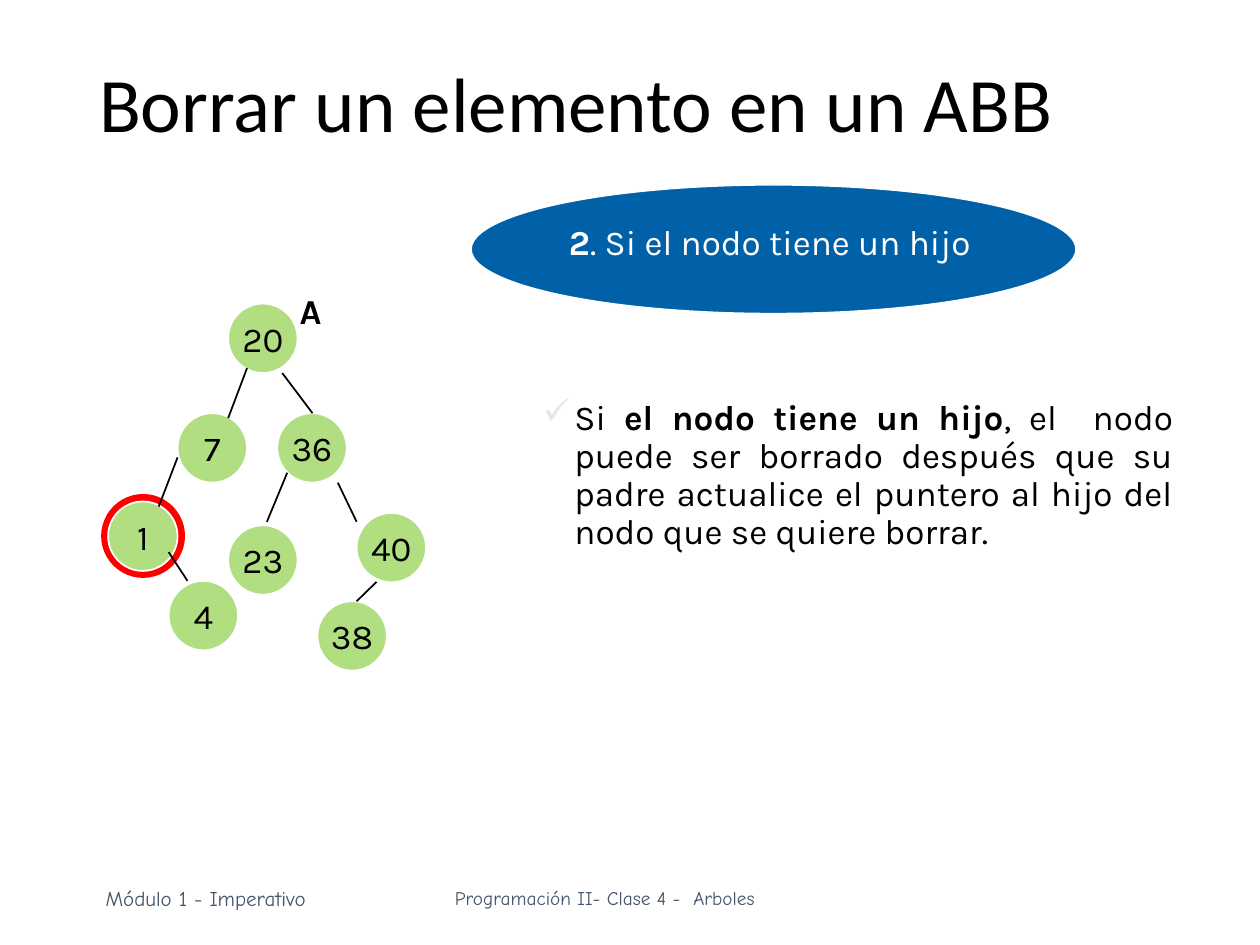
from lxml.etree import SubElement
from pptx import Presentation
from pptx.dml.color import RGBColor
from pptx.enum.shapes import MSO_CONNECTOR, MSO_SHAPE
from pptx.enum.text import MSO_ANCHOR, PP_ALIGN
from pptx.oxml.ns import qn
from pptx.util import Cm, Pt

COLORS = {
    "black": "000000",
    "white": "FFFFFF",
    "footer": "44546A",
    "bullet": "E7E6E6",
    "node": "B2DE82",
    "ring_fill": "BED1E0",
    "ring_line": "FF0000",
    "banner": "0060A8",
}
NODE_SIZE = 1.4
NODES = [
    ("20", 4.6, 6.12),
    ("7", 3.58, 8.33),
    ("36", 5.59, 8.33),
    ("1", 2.18, 10.11),
    ("4", 3.4, 11.71),
    ("23", 4.6, 10.59),
    ("40", 7.19, 10.34),
    ("38", 6.4, 12.12),
]
EDGES = [
    (4.98, 7.42, 4.6, 8.43),
    (5.69, 7.52, 6.3, 8.33),
    (3.58, 9.22, 3.2, 10.21),
    (3.4, 11.13, 3.78, 11.71),
    (5.79, 9.53, 5.38, 10.52),
    (6.81, 9.73, 7.19, 10.52),
    (7.59, 11.73, 7.19, 12.12),
]


def rgb(name):
    return RGBColor.from_string(COLORS[name])


def add_runs(paragraph, runs, size=20, font="Karla", color="black"):
    for text, bold in runs:
        run = paragraph.add_run()
        run.text = text
        run.font.name = font
        run.font.size = Pt(size)
        run.font.bold = bold
        run.font.color.rgb = rgb(color)


def add_text(slide, box, runs, wrap=True, anchor=MSO_ANCHOR.TOP, **style):
    shape = slide.shapes.add_textbox(*map(Cm, box))
    frame = shape.text_frame
    frame.word_wrap = wrap
    frame.vertical_anchor = anchor
    paragraph = frame.paragraphs[0]
    add_runs(paragraph, runs, **style)
    return paragraph


def set_indent(paragraph, margin, first_line):
    properties = paragraph._p.get_or_add_pPr()
    properties.set("marL", str(Cm(margin)))
    properties.set("indent", str(Cm(first_line)))
    return properties


def add_bullet(paragraph, character, color):
    properties = set_indent(paragraph, 0.64, -0.64)
    bullet_color = SubElement(properties, qn("a:buClr"))
    SubElement(bullet_color, qn("a:srgbClr"), val=COLORS[color])
    SubElement(properties, qn("a:buChar"), char=character)


def add_ellipse(slide, box, fill, line, width):
    shape = slide.shapes.add_shape(MSO_SHAPE.OVAL, *map(Cm, box))
    shape.shadow.inherit = False
    shape.fill.solid()
    shape.fill.fore_color.rgb = rgb(fill)
    shape.line.color.rgb = rgb(line)
    shape.line.width = Pt(width)
    return shape


def add_node(slide, label, left, top):
    shape = add_ellipse(slide, (left, top, NODE_SIZE, NODE_SIZE), "node", "white", 1)
    frame = shape.text_frame
    frame.word_wrap = False
    frame.vertical_anchor = MSO_ANCHOR.MIDDLE
    paragraph = frame.paragraphs[0]
    paragraph.alignment = PP_ALIGN.CENTER
    add_runs(paragraph, [(label, False)])


def add_edge(slide, points):
    connector = slide.shapes.add_connector(MSO_CONNECTOR.STRAIGHT, *map(Cm, points))
    connector.line.color.rgb = rgb("black")
    connector.line.width = Pt(1)
    SubElement(connector._element.spPr, qn("a:effectLst"))


def add_tree(slide):
    add_ellipse(slide, (2.11, 10.03, 1.55, 1.55), "ring_fill", "ring_line", 4)
    for node in NODES:
        add_node(slide, *node)
    for edge in EDGES:
        add_edge(slide, edge)
    add_text(slide, (5.79, 5.72, 0.99, 1.12), [("A", True)])


def add_banner(slide):
    add_ellipse(slide, (9.5, 3.73, 12.19, 2.59), "banner", "white", 0.75)
    paragraph = add_text(
        slide, (10.49, 4.32, 12.01, 2.13),
        [("2", True), (". Si el nodo tiene un hijo", False)], color="white",
    )
    set_indent(paragraph, 0.73, 0)
    paragraph.space_before = Pt(5)


def add_explanation(slide):
    paragraph = add_text(slide, (10.69, 7.95, 13.21, 4.57), [
        ("Si ", False),
        ("el nodo tiene un hijo", True),
        (", el  nodo puede ser borrado después que su padre actualice "
         "el puntero al hijo del nodo que se quiere borrar.", False),
    ])
    paragraph.alignment = PP_ALIGN.JUSTIFY
    paragraph.line_spacing = 0.9
    paragraph.space_before = Pt(10)
    add_bullet(paragraph, "✓", "bullet")


def add_footers(slide):
    add_text(slide, (8.92, 17.75, 6.58, 0.74),
             [("Programación II- Clase 4 -  Arboles", False)],
             wrap=False, size=11, font="Comic Neue", color="footer")
    add_text(slide, (1.88, 17.73, 4.55, 0.76),
             [("Módulo 1 - Imperativo", False)],
             wrap=False, size=12, font="Comic Neue", color="footer")


def main():
    presentation = Presentation()
    presentation.slide_width = Cm(25.4)
    presentation.slide_height = Cm(19.05)
    slide = presentation.slides.add_slide(presentation.slide_layouts[6])
    add_footers(slide)
    title = add_text(slide, (1.75, 0.33, 21.92, 3.68),
                     [("Borrar un elemento en un ABB", False)],
                     anchor=MSO_ANCHOR.MIDDLE, size=44, font="Calibri")
    title.line_spacing = 0.9
    add_explanation(slide)
    add_tree(slide)
    add_banner(slide)
    presentation.save("out.pptx")


if __name__ == "__main__":
    main()
